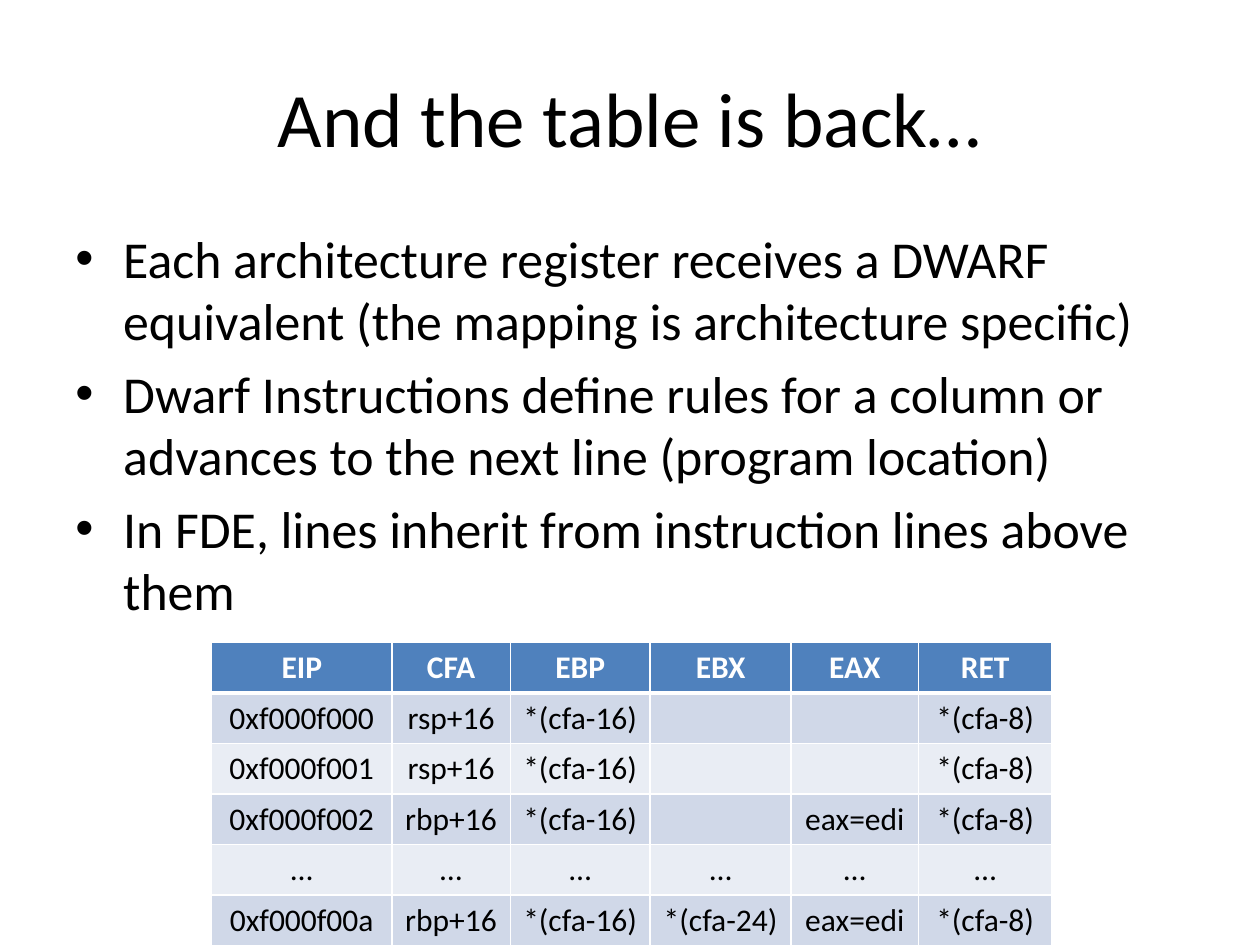
from lxml.etree import SubElement
from pptx import Presentation
from pptx.dml.color import RGBColor
from pptx.enum.text import MSO_ANCHOR, PP_ALIGN
from pptx.oxml import parse_xml
from pptx.oxml.ns import nsdecls, qn
from pptx.util import Inches, Pt

COLORS = {
    "text": "000000",
    "header": "4F81BD",
    "band_dark": "D0D8E8",
    "band_light": "E9EDF4",
    "white": "FFFFFF",
}
FONT = "Calibri"
MARGIN = 0.5
CONTENT_WIDTH = 9

TITLE = "And the table is back…"
BULLETS = [
    "Each architecture register receives a DWARF equivalent "
    "(the mapping is architecture specific)",
    "Dwarf Instructions define rules for a column or advances to the next line "
    "(program location)",
    "In FDE, lines inherit from instruction lines above them",
]
COLUMN_WIDTHS = [1.43, 0.94, 1.11, 1.12, 1.01, 1.06]
ROW_HEIGHT = 0.4
REGISTER_ROWS = [
    ["EIP", "CFA", "EBP", "EBX", "EAX", "RET"],
    ["0xf000f000", "rsp+16", "*(cfa-16)", "", "", "*(cfa-8)"],
    ["0xf000f001", "rsp+16", "*(cfa-16)", "", "", "*(cfa-8)"],
    ["0xf000f002", "rbp+16", "*(cfa-16)", "", "eax=edi", "*(cfa-8)"],
    ["…"] * 6,
    ["0xf000f00a", "rbp+16", "*(cfa-16)", "*(cfa-24)", "eax=edi", "*(cfa-8)"],
]


def format_font(paragraph, size, color="text", bold=False):
    font = paragraph.font
    font.name, font.size, font.bold = FONT, Pt(size), bold
    font.color.rgb = RGBColor.from_string(COLORS[color])


def add_title(page, left, top, width, height):
    title = page.shapes.title
    title.left, title.top = Inches(left), Inches(top)
    title.width, title.height = Inches(width), Inches(height)
    title.text_frame.text = TITLE
    title.text_frame.vertical_anchor = MSO_ANCHOR.MIDDLE
    paragraph = title.text_frame.paragraphs[0]
    paragraph.alignment = PP_ALIGN.CENTER
    format_font(paragraph, 44)


def add_bullets(page, left, top, width, height):
    box = page.shapes.add_textbox(*map(Inches, (left, top, width, height)))
    frame = box.text_frame
    frame.word_wrap = True
    frame.text = "\n".join(BULLETS)
    for paragraph in frame.paragraphs:
        paragraph.space_before = Pt(6)
        format_font(paragraph, 29.6)
        properties = paragraph._p.get_or_add_pPr()
        properties.set("marL", str(Inches(0.38)))
        properties.set("indent", str(-Inches(0.38)))
        bullet_font = parse_xml(f'<a:buFont {nsdecls("a")} typeface="Arial"/>')
        properties.find(qn("a:defRPr")).addprevious(bullet_font)
        bullet = SubElement(properties, qn("a:buChar"), char="•")
        bullet_font.addnext(bullet)


def add_borders(cell, bottom_width, top_width):
    """Draw white lines on all four sides; widths are in points."""
    widths = {"lnL": 1, "lnR": 1, "lnT": top_width, "lnB": bottom_width}
    properties = cell._tc.get_or_add_tcPr()
    for position, (side, width) in enumerate(widths.items()):
        line = parse_xml(
            f'<a:{side} {nsdecls("a")} w="{Pt(width)}"><a:solidFill>'
            f'<a:srgbClr val="{COLORS["white"]}"/></a:solidFill></a:{side}>'
        )
        properties.insert(position, line)


def add_register_table(page, left, top):
    row_count = len(REGISTER_ROWS)
    frame = page.shapes.add_table(
        row_count, len(COLUMN_WIDTHS), Inches(left), Inches(top),
        Inches(sum(COLUMN_WIDTHS)), Inches(ROW_HEIGHT * row_count),
    )
    table = frame.table
    for column, width in zip(table.columns, COLUMN_WIDTHS):
        column.width = Inches(width)
    for row_index, values in enumerate(REGISTER_ROWS):
        is_header = row_index == 0
        band = "band_dark" if row_index % 2 else "band_light"
        fill = "header" if is_header else band
        for column_index, value in enumerate(values):
            cell = table.cell(row_index, column_index)
            cell.text = value
            cell.fill.solid()
            cell.fill.fore_color.rgb = RGBColor.from_string(COLORS[fill])
            add_borders(cell, 3 if is_header else 1, 3 if row_index == 1 else 1)
            paragraph = cell.text_frame.paragraphs[0]
            paragraph.alignment = PP_ALIGN.CENTER
            format_font(paragraph, 18, "white" if is_header else "text", is_header)


def main():
    deck = Presentation()
    deck.slide_width, deck.slide_height = Inches(10), Inches(7.5)
    page = deck.slides.add_slide(deck.slide_layouts[5])
    add_title(page, MARGIN, 0.3, CONTENT_WIDTH, 1.25)
    add_bullets(page, MARGIN, 1.75, CONTENT_WIDTH, 3.35)
    add_register_table(page, 1.68, 5.1)
    deck.save("out.pptx")


if __name__ == "__main__":
    main()
